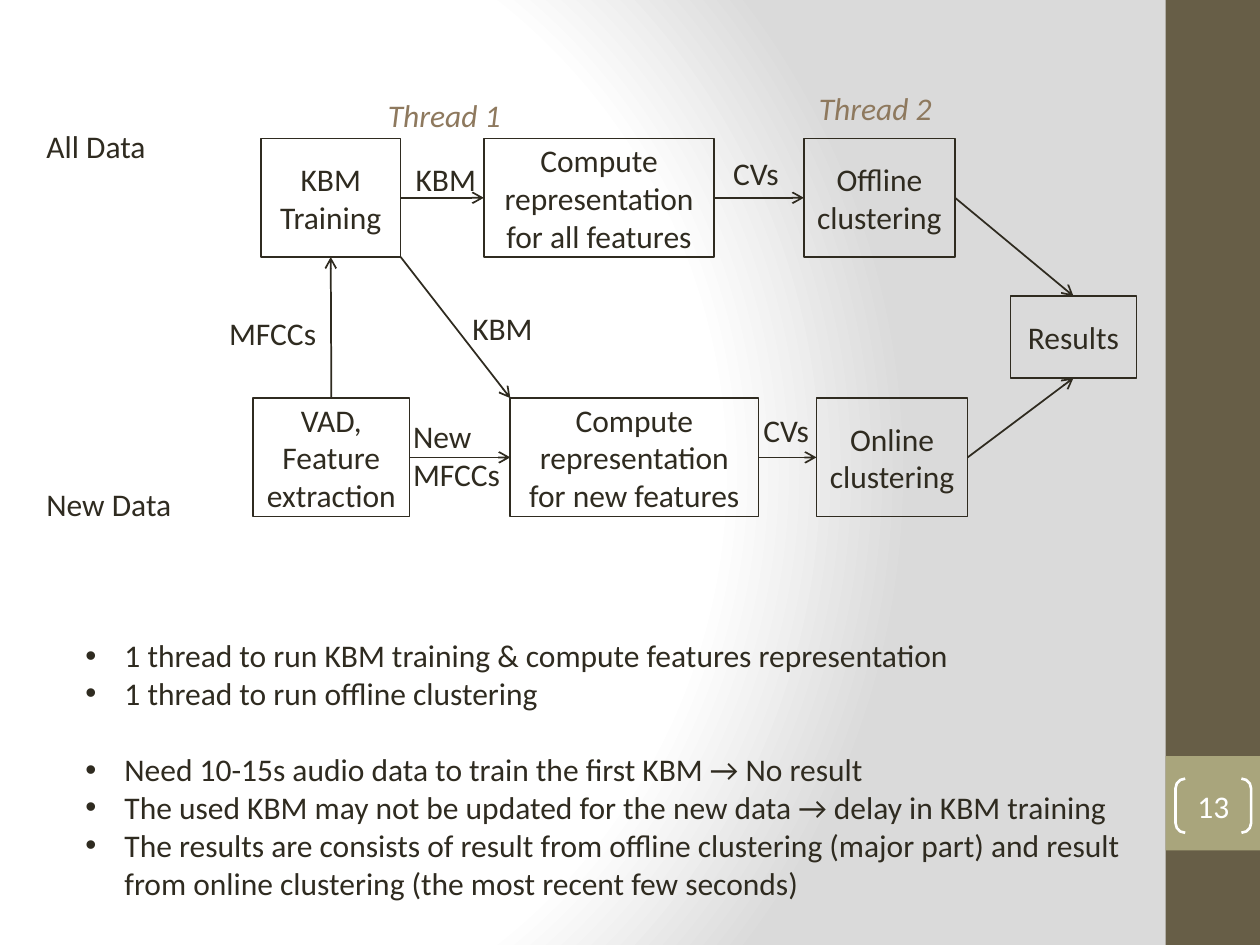
from lxml import etree
from pptx import Presentation
from pptx.dml.color import RGBColor
from pptx.enum import shapes, text
from pptx.oxml import parse_xml
from pptx.oxml.ns import nsdecls, qn
from pptx.util import Inches, Pt

COLORS = {
    "ink": "2F2B20",
    "thread": "8E795E",
    "band": "675E47",
    "badge": "A9A57C",
    "white": "FFFFFF",
    "edge": "DADADA",
}


def write(shape, content, color="ink", align=None, italic=None):
    frame = shape.text_frame
    frame.word_wrap = True
    frame.text = content
    for paragraph in frame.paragraphs:
        paragraph.alignment = align
        paragraph.font.name = "Calibri"
        paragraph.font.size = Pt(18)
        paragraph.font.italic = italic
        paragraph.font.color.rgb = RGBColor.from_string(COLORS[color])


def add_shape(kind, place, fill=None, line=None, width=1):
    """Add a preset shape without shadow; fill and line are colour names."""
    shape = slide.shapes.add_shape(kind, *map(Inches, place))
    shape.shadow.inherit = False
    for part, color in ((shape.fill, fill), (shape.line.fill, line)):
        if color:
            part.solid()
            part.fore_color.rgb = RGBColor.from_string(COLORS[color])
        else:
            part.background()
    if line:
        shape.line.width = Pt(width)
    return shape


presentation = Presentation()
presentation.slide_width = Inches(10)
presentation.slide_height = Inches(7.5)
slide = presentation.slides.add_slide(presentation.slide_layouts[6])

# Background: white centre fading to grey on the right
slide.background.fill.gradient()
gradient = slide.element.find(".//" + qn("a:gradFill"))
stops = "".join(
    f'<a:gs pos="{position * 1000}"><a:srgbClr val="{COLORS[color]}"/></a:gs>'
    for position, color in ((0, "white"), (75, "white"), (100, "edge"))
)
gradient.getparent().replace(gradient, parse_xml(
    f'<a:gradFill {nsdecls("a")} rotWithShape="1"><a:gsLst>{stops}</a:gsLst>'
    '<a:path path="circle"><a:fillToRect l="20000" t="50000" r="100000" b="50000"/>'
    "</a:path></a:gradFill>"
))

# Side band and slide number
RECTANGLE = shapes.MSO_SHAPE.RECTANGLE
add_shape(RECTANGLE, (9.25, 0, 0.75, 7.5), fill="band")
add_shape(RECTANGLE, (9.25, 6, 0.75, 0.75), fill="badge")
number = add_shape(shapes.MSO_SHAPE.DOUBLE_BRACKET, (9.33, 6.18, 0.6, 0.43),
                   line="white", width=1.5)
number.adjustments[0] = 0.179
frame = number.text_frame
frame.margin_left = frame.margin_right = frame.margin_top = frame.margin_bottom = 0
frame.vertical_anchor = text.MSO_ANCHOR.MIDDLE
write(number, "13", "white", text.PP_ALIGN.CENTER)

# Process boxes
TOP_ROW, BOTTOM_ROW, BOX_HEIGHT = 1.1, 3.16, 0.94
boxes = {}
for name, content, left, top, width, height in (
    ("features", "VAD,\nFeature extraction", 2.01, BOTTOM_ROW, 1.24, BOX_HEIGHT),
    ("training", "KBM Training", 2.07, TOP_ROW, 1.11, BOX_HEIGHT),
    ("compute all", "Compute representation for all features", 3.84, TOP_ROW, 1.83, BOX_HEIGHT),
    ("compute new", "Compute representation for new features", 4.05, BOTTOM_ROW, 1.97, BOX_HEIGHT),
    ("offline", "Offline clustering", 6.38, TOP_ROW, 1.2, BOX_HEIGHT),
    ("online", "Online clustering", 6.48, BOTTOM_ROW, 1.2, BOX_HEIGHT),
    ("results", "Results", 8.02, 2.35, 1, 0.65),
):
    box = add_shape(RECTANGLE, (left, top, width, height), line="ink")
    box.text_frame.vertical_anchor = text.MSO_ANCHOR.MIDDLE
    write(box, content, align=text.PP_ALIGN.CENTER)
    boxes[name] = box

# Arrows between side middles (0 top, 1 left, 2 bottom, 3 right);
# without sides the arrow runs from corner to corner
for source, source_side, target, target_side in (
    ("training", 3, "compute all", 1),
    ("features", 0, "training", 2),
    ("compute all", 3, "offline", 1),
    ("offline", 3, "results", 0),
    ("compute new", 3, "online", 1),
    ("features", 3, "compute new", 1),
    ("online", 3, "results", 2),
    ("training", None, "compute new", None),
):
    start, end = boxes[source], boxes[target]
    arrow = slide.shapes.add_connector(
        shapes.MSO_CONNECTOR.STRAIGHT,
        start.left + start.width, start.top + start.height, end.left, end.top,
    )
    if source_side is not None:
        arrow.begin_connect(start, source_side)
        arrow.end_connect(end, target_side)
    arrow.line.color.rgb = RGBColor.from_string(COLORS["ink"])
    arrow.line.width = Pt(1)
    etree.SubElement(arrow.line._get_or_add_ln(), qn("a:tailEnd"), type="arrow")
    etree.SubElement(arrow._element.spPr, qn("a:effectLst"))

# Labels
for content, left, top, width, height, color in (
    ("All Data", 0.27, 0.96, 1.21, 0.4, "ink"),
    ("New Data", 0.27, 3.8, 1.21, 0.4, "ink"),
    ("Thread 1", 2.98, 0.71, 1.38, 0.4, "thread"),
    ("Thread 2", 6.4, 0.66, 1.38, 0.4, "thread"),
    ("MFCCs", 1.72, 2.44, 1.3, 0.4, "ink"),
    ("New\nMFCCs", 3.18, 3.26, 1.07, 0.71, "ink"),
    ("KBM", 3.65, 2.4, 1.07, 0.4, "ink"),
    ("KBM", 3.2, 1.22, 1.07, 0.4, "ink"),
    ("CVs", 5.72, 1.17, 1.07, 0.4, "ink"),
    ("CVs", 5.96, 3.21, 1.07, 0.4, "ink"),
):
    label = slide.shapes.add_textbox(*map(Inches, (left, top, width, height)))
    label.text_frame.auto_size = text.MSO_AUTO_SIZE.SHAPE_TO_FIT_TEXT
    write(label, content, color, italic=True if color == "thread" else None)

# Notes below the diagram, in two groups
groups = (
    ("1 thread to run KBM training & compute features representation",
     "1 thread to run offline clustering"),
    ("Need 10-15s audio data to train the first KBM → No result",
     "The used KBM may not be updated for the new data → delay in KBM training",
     "The results are consists of result from offline clustering (major part) "
     "and result from online clustering (the most recent few seconds)"),
)
bullets = slide.shapes.add_textbox(Inches(0.58), Inches(5), Inches(8.43), Inches(2.52))
frame = bullets.text_frame
frame.text = "\n".join(line for group in groups for line in group)
frame.word_wrap = True
frame.paragraphs[len(groups[0])].space_before = Pt(22)
for paragraph in frame.paragraphs:
    properties = paragraph._p.get_or_add_pPr()
    properties.set("marL", str(Inches(0.31)))
    properties.set("indent", str(-Inches(0.31)))
    etree.SubElement(properties, qn("a:buFont"), typeface="Arial")
    etree.SubElement(properties, qn("a:buChar"), char="•")
    paragraph.font.name = "Calibri"
    paragraph.font.size = Pt(18)
    paragraph.font.color.rgb = RGBColor.from_string(COLORS["ink"])

presentation.save("out.pptx")
